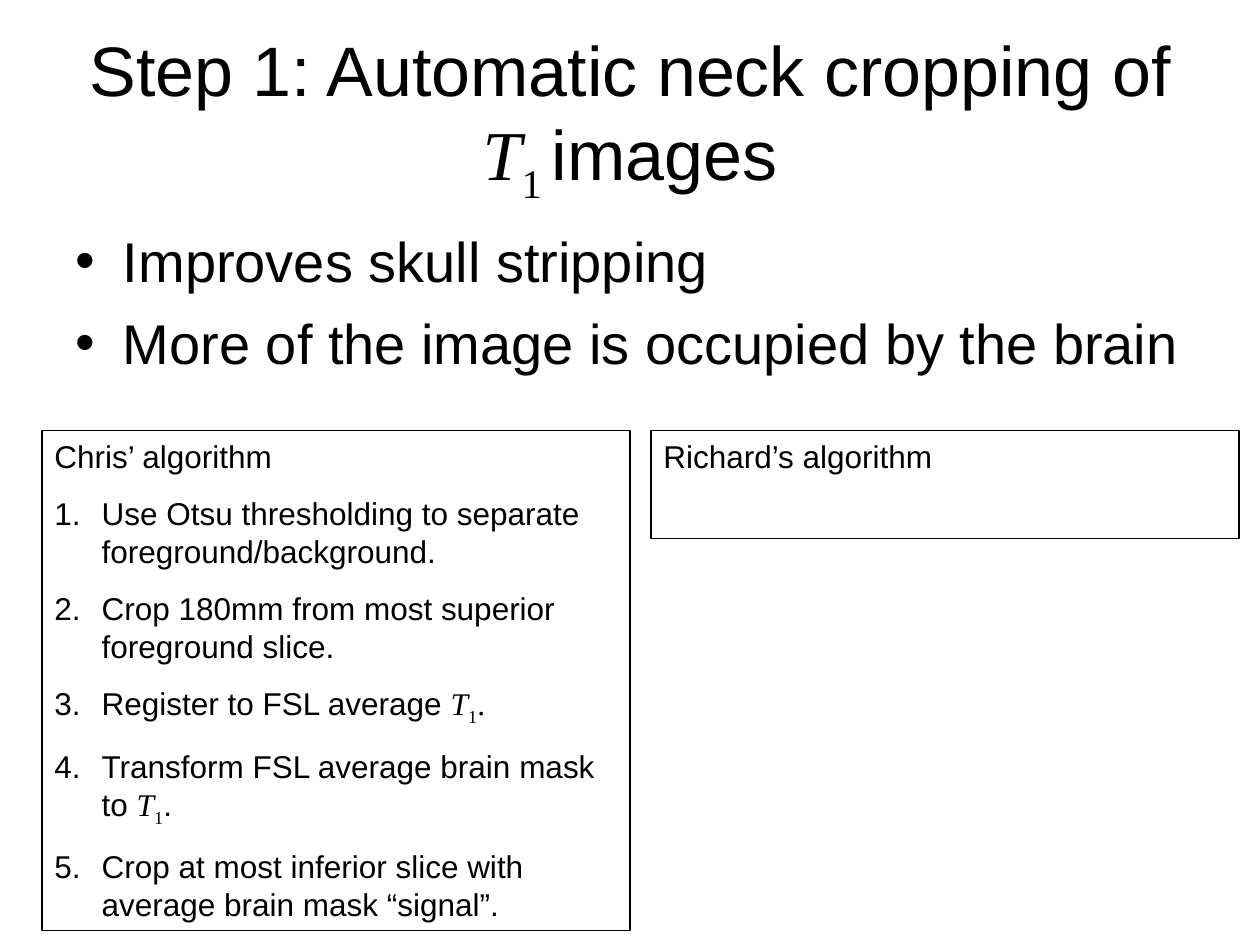
import pptx
import pptx.dml.color
import pptx.enum.shapes
import pptx.enum.text
import pptx.oxml.ns
import pptx.util
from lxml import etree

Pt = pptx.util.Pt
PP_ALIGN = pptx.enum.text.PP_ALIGN
ANCHOR = pptx.enum.text.MSO_ANCHOR

BLACK = pptx.dml.color.RGBColor(0, 0, 0)
INDENT = Pt(27)
SANS = {"name": "Arial"}
VARIABLE = {"name": "Times New Roman", "italic": True}
SERIF = {"name": "Times New Roman", "italic": False}
FRAME = {
    "margin_left": Pt(7.2), "margin_right": Pt(7.2),
    "margin_top": Pt(3.6), "margin_bottom": Pt(3.6),
    "word_wrap": True, "auto_size": pptx.enum.text.MSO_AUTO_SIZE.NONE,
}
STEPS = [
    ["Use Otsu thresholding to separate foreground/background."],
    ["Crop 180mm from most superior foreground slice."],
    ["Register to FSL average ", ("T", VARIABLE), ("1", SERIF, True), (".", SERIF)],
    ["Transform FSL average brain mask to ", ("T", VARIABLE), ("1", SERIF, True), "."],
    ["Crop at most inferior slice with average brain mask “signal”."],
]


def set_attrs(obj, values):
    for name, value in values.items():
        setattr(obj, name, value)


def place(sp, left, top, width, height):
    set_attrs(sp, {"left": Pt(left), "top": Pt(top),
                   "width": Pt(width), "height": Pt(height)})


def add_runs(p, parts, size):
    """Each part is plain text or a tuple (text, font values[, subscript])."""
    for part in parts:
        text, font, *subscript = (part, SANS) if isinstance(part, str) else part
        r = p.add_run()
        r.text = text
        set_attrs(r.font, {"size": Pt(size), **font})
        r.font.color.rgb = BLACK
        if subscript:
            r._r.get_or_add_rPr().set("baseline", "-25000")


def number(p):
    """Give a paragraph an automatic number and a hanging indent."""
    pPr = p._p.get_or_add_pPr()
    pPr.set("marL", str(INDENT))
    pPr.set("indent", str(-INDENT))
    etree.SubElement(pPr, pptx.oxml.ns.qn("a:buFont"), typeface="Arial")
    etree.SubElement(pPr, pptx.oxml.ns.qn("a:buAutoNum"), type="arabicPeriod")


def fill_text(tf, paragraphs, size, gap=0, anchor=ANCHOR.TOP,
              align=PP_ALIGN.LEFT, numbered=False):
    """Write the paragraphs; numbered lists start after the heading."""
    set_attrs(tf, {**FRAME, "vertical_anchor": anchor})
    for i, parts in enumerate(paragraphs):
        p = tf.add_paragraph() if i else tf.paragraphs[0]
        if numbered and i:
            number(p)
        set_attrs(p, {"alignment": align, "space_before": Pt(gap if i else 0)})
        add_runs(p, parts, size)


def add_algorithm_box(s, left, height, heading, steps=()):
    sp = s.shapes.add_shape(pptx.enum.shapes.MSO_SHAPE.RECTANGLE, 0, 0, 0, 0)
    place(sp, left, 246, 336, height)
    sp.shadow.inherit = False
    sp.fill.background()
    sp.line.color.rgb = BLACK
    sp.line.width = Pt(0.75)
    fill_text(sp.text_frame, [[heading], *steps], 18, 11.2, numbered=True)


def main():
    prs = pptx.Presentation()
    set_attrs(prs, {"slide_width": Pt(720), "slide_height": Pt(540)})
    s = prs.slides.add_slide(prs.slide_layouts[1])

    title, body = s.placeholders
    place(title, 36, 21.6, 648, 90)
    fill_text(title.text_frame,
              [["Step 1: Automatic neck cropping of ", ("T", VARIABLE),
                ("1 ", SERIF, True), "images"]],
              40, anchor=ANCHOR.MIDDLE, align=PP_ALIGN.CENTER)
    place(body, 36, 126, 648, 356.4)
    fill_text(body.text_frame,
              [["Improves skull stripping"],
               ["More of the image is occupied by the brain"]], 32, 8)

    add_algorithm_box(s, 24, 285.6, "Chris’ algorithm", STEPS)
    add_algorithm_box(s, 372, 61.6, "Richard’s algorithm")
    prs.save("out.pptx")


if __name__ == "__main__":
    main()
